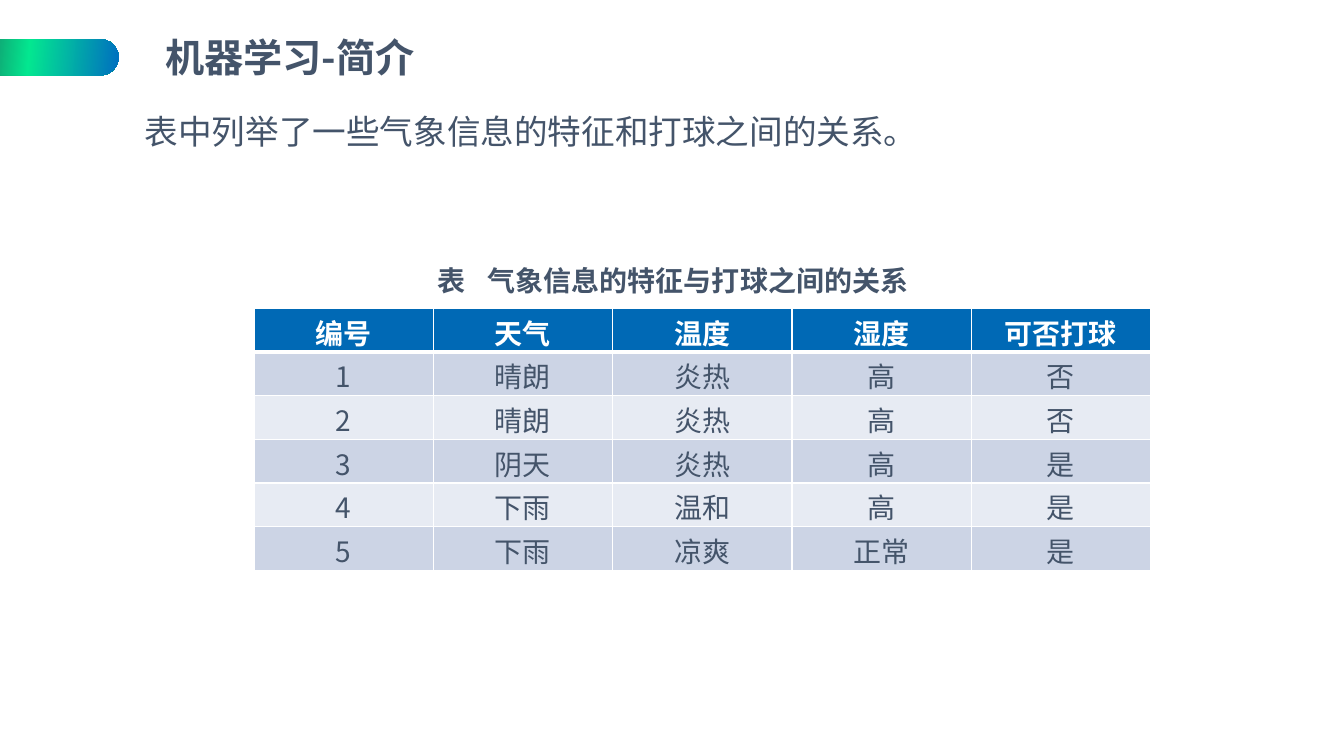
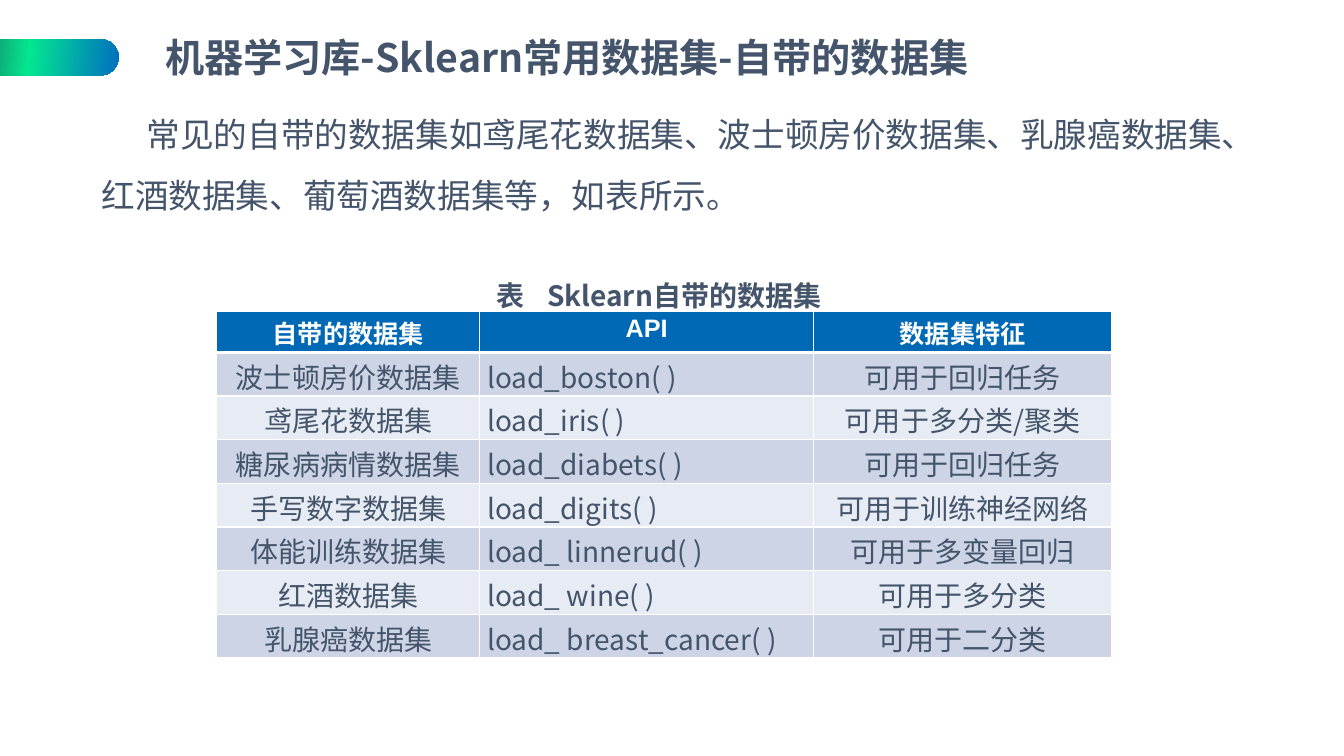
from dataclasses import dataclass

from lxml import etree
from pptx import Presentation
from pptx.dml.color import RGBColor
from pptx.enum.shapes import MSO_SHAPE
from pptx.enum.text import MSO_ANCHOR, PP_ALIGN
from pptx.oxml.ns import qn
from pptx.slide import Slide
from pptx.table import _Cell
from pptx.text.text import TextFrame, _Paragraph
from pptx.util import Cm, Length, Pt

LEFT, CENTER = PP_ALIGN.LEFT, PP_ALIGN.CENTER
TOP, MIDDLE = MSO_ANCHOR.TOP, MSO_ANCHOR.MIDDLE
ROUNDED = MSO_SHAPE.ROUNDED_RECTANGLE
TITLE_ONLY = 5


@dataclass(frozen=True)
class Theme:
    text: str = "44546A"
    white: str = "FFFFFF"
    header: str = "0069B5"
    bands: tuple[str, str] = ("CCD4E5", "E7EBF3")
    # (position in percent, colour)
    gradient: tuple[tuple[int, str], ...] = (
        (0, "272D3D"), (52, "03E790"), (100, "0070C0"))
    font: str = "Noto Sans CJK SC"
    header_font: str = "Arial"
    title_size: int = 28
    body_size: int = 24
    table_size: int = 20


THEME = Theme()


@dataclass(frozen=True)
class Box:
    left: Length
    top: Length
    width: Length
    height: Length


@dataclass(frozen=True)
class TextBlock:
    box: Box
    text: str
    size: int
    bold: bool = False
    indent: Length = Cm(0)
    tab: Length | None = None


@dataclass(frozen=True)
class TableBlock:
    left: Length
    top: Length
    widths: tuple[Length, ...]
    alignments: tuple[PP_ALIGN, ...]
    header: tuple[str, ...]
    rows: tuple[tuple[str, ...], ...]
    header_size: int = THEME.table_size
    header_height: Length = Cm(1.1)
    row_height: Length = Cm(1.1)


@dataclass(frozen=True)
class TableSlide:
    title: str
    body: TextBlock
    caption: TextBlock
    table: TableBlock


TITLE_BOX = Box(Cm(3.91), Cm(0.84), Cm(23.29), Cm(1.35))
TAB_BAND = Box(Cm(-1.73), Cm(0.99), Cm(4.72), Cm(0.91))

SLIDES = (
    TableSlide(
        title="机器学习-简介",
        body=TextBlock(
            Box(Cm(1.88), Cm(2.16), Cm(29.54), Cm(1.63)),
            "表中列举了一些气象信息的特征和打球之间的关系。",
            THEME.body_size, indent=Cm(1.52)),
        caption=TextBlock(
            Box(Cm(10.77), Cm(6.1), Cm(15.77), Cm(1.4)),
            "表\t气象信息的特征与打球之间的关系",
            THEME.table_size, bold=True, tab=Cm(1.33)),
        table=TableBlock(
            Cm(6.4), Cm(7.77),
            widths=(Cm(4.52),) * 5,
            alignments=(CENTER,) * 5,
            header=("编号", "天气", "温度", "湿度", "可否打球"),
            rows=(
                ("1", "晴朗", "炎热", "高", "否"),
                ("2", "晴朗", "炎热", "高", "否"),
                ("3", "阴天", "炎热", "高", "是"),
                ("4", "下雨", "温和", "高", "是"),
                ("5", "下雨", "凉爽", "正常", "是"),
            ),
        ),
    ),
    TableSlide(
        title="机器学习库-Sklearn常用数据集-自带的数据集",
        body=TextBlock(
            Box(Cm(2.31), Cm(2.24), Cm(29.54), Cm(3.15)),
            "常见的自带的数据集如鸢尾花数据集、波士顿房价数据集、乳腺癌数据集、"
            "红酒数据集、葡萄酒数据集等，如表所示。",
            THEME.body_size, indent=Cm(1.14)),
        caption=TextBlock(
            Box(Cm(12.27), Cm(6.48), Cm(13.54), Cm(1.4)),
            "表\tSklearn自带的数据集",
            THEME.table_size, bold=True, tab=Cm(1.19)),
        table=TableBlock(
            Cm(5.46), Cm(7.85),
            widths=(Cm(6.63), Cm(8.41), Cm(7.52)),
            alignments=(CENTER, LEFT, CENTER),
            header=("自带的数据集", "API", "数据集特征"),
            rows=(
                ("波士顿房价数据集", "load_boston( )", "可用于回归任务"),
                ("鸢尾花数据集", "load_iris( )", "可用于多分类/聚类"),
                ("糖尿病病情数据集", "load_diabets( )", "可用于回归任务"),
                ("手写数字数据集", "load_digits( )", "可用于训练神经网络"),
                ("体能训练数据集", "load_ linnerud( )", "可用于多变量回归"),
                ("红酒数据集", "load_ wine( )", "可用于多分类"),
                ("乳腺癌数据集", "load_ breast_cancer( )", "可用于二分类"),
            ),
            header_size=18,
            header_height=Cm(1.03),
        ),
    ),
)


def add_run(paragraph: _Paragraph, text: str, size: int, color: str = THEME.text,
            bold: bool = False, font: str = THEME.font) -> None:
    run = paragraph.add_run()
    run.text = text
    run.font.size = Pt(size)
    run.font.bold = bold
    run.font.name = font
    run.font.color.rgb = RGBColor.from_string(color)
    east_asian = etree.SubElement(run.font._element, qn("a:ea"))
    east_asian.set("typeface", THEME.font)


def first_paragraph(frame: TextFrame, line_spacing: float) -> _Paragraph:
    frame.word_wrap = True
    paragraph = frame.paragraphs[0]
    paragraph.alignment = LEFT
    paragraph.line_spacing = line_spacing
    return paragraph


def set_title(slide: Slide, text: str) -> None:
    title = slide.shapes.title
    title.left, title.top = TITLE_BOX.left, TITLE_BOX.top
    title.width, title.height = TITLE_BOX.width, TITLE_BOX.height
    title.text_frame.vertical_anchor = MIDDLE
    paragraph = first_paragraph(title.text_frame, 0.9)
    add_run(paragraph, text, THEME.title_size, bold=True)


def add_tab_band(slide: Slide) -> None:
    """Draw the gradient pill that enters from the left edge."""
    band = slide.shapes.add_shape(
        ROUNDED, TAB_BAND.left, TAB_BAND.top, TAB_BAND.width, TAB_BAND.height)
    band.adjustments[0] = 0.5
    band.shadow.inherit = False
    band.line.fill.background()
    band.fill.gradient()
    band.fill.gradient_angle = 355
    stops = band._element.spPr.find(".//" + qn("a:gsLst"))
    stops.clear()
    for position, color in THEME.gradient:
        stop = etree.SubElement(stops, qn("a:gs"), pos=str(position * 1000))
        etree.SubElement(stop, qn("a:srgbClr"), val=color)


def add_text(slide: Slide, block: TextBlock) -> None:
    box = block.box
    shape = slide.shapes.add_textbox(box.left, box.top, box.width, box.height)
    paragraph = first_paragraph(shape.text_frame, 1.5)
    properties = paragraph._p.get_or_add_pPr()
    properties.set("indent", str(block.indent))
    if block.tab is not None:
        tabs = etree.SubElement(properties, qn("a:tabLst"))
        etree.SubElement(tabs, qn("a:tab"), pos=str(block.tab), algn="l")
    add_run(paragraph, block.text, block.size, bold=block.bold)


def set_borders(cell: _Cell, top: int, bottom: int) -> None:
    """Give a cell white borders; widths are in points, the sides are 1."""
    properties = cell._tc.get_or_add_tcPr()
    widths = {"lnL": 1, "lnR": 1, "lnT": top, "lnB": bottom}
    for tag, width in widths.items():
        line = etree.SubElement(properties, qn(f"a:{tag}"), w=str(Pt(width)))
        fill = etree.SubElement(line, qn("a:solidFill"))
        etree.SubElement(fill, qn("a:srgbClr"), val=THEME.white)


def add_table(slide: Slide, block: TableBlock) -> None:
    row_count = len(block.rows) + 1
    height = block.header_height + block.row_height * len(block.rows)
    table = slide.shapes.add_table(
        row_count, len(block.widths), block.left, block.top,
        sum(block.widths), height).table
    table.horz_banding = False
    for column, width in zip(table.columns, block.widths):
        column.width = width
    for row_index, texts in enumerate((block.header, *block.rows)):
        is_header = row_index == 0
        table.rows[row_index].height = (
            block.header_height if is_header else block.row_height)
        fill = THEME.header if is_header else THEME.bands[(row_index - 1) % 2]
        for column_index, text in enumerate(texts):
            cell = table.cell(row_index, column_index)
            set_borders(cell, top=3 if row_index == 1 else 1,
                        bottom=3 if is_header else 1)
            cell.fill.solid()
            cell.fill.fore_color.rgb = RGBColor.from_string(fill)
            cell.vertical_anchor = TOP
            cell.margin_left = cell.margin_right = Cm(0.19)
            cell.margin_top, cell.margin_bottom = Cm(0.08), Cm(0)
            paragraph = cell.text_frame.paragraphs[0]
            if is_header:
                paragraph.alignment = CENTER
                add_run(paragraph, text, block.header_size, THEME.white,
                        bold=True, font=THEME.header_font)
            else:
                paragraph.alignment = block.alignments[column_index]
                add_run(paragraph, text, THEME.table_size)


def main() -> None:
    presentation = Presentation()
    presentation.slide_width, presentation.slide_height = Cm(33.87), Cm(19.05)
    layout = presentation.slide_layouts[TITLE_ONLY]
    for content in SLIDES:
        slide = presentation.slides.add_slide(layout)
        add_tab_band(slide)
        set_title(slide, content.title)
        add_text(slide, content.body)
        add_table(slide, content.table)
        add_text(slide, content.caption)
    presentation.save("out.pptx")


if __name__ == "__main__":
    main()
